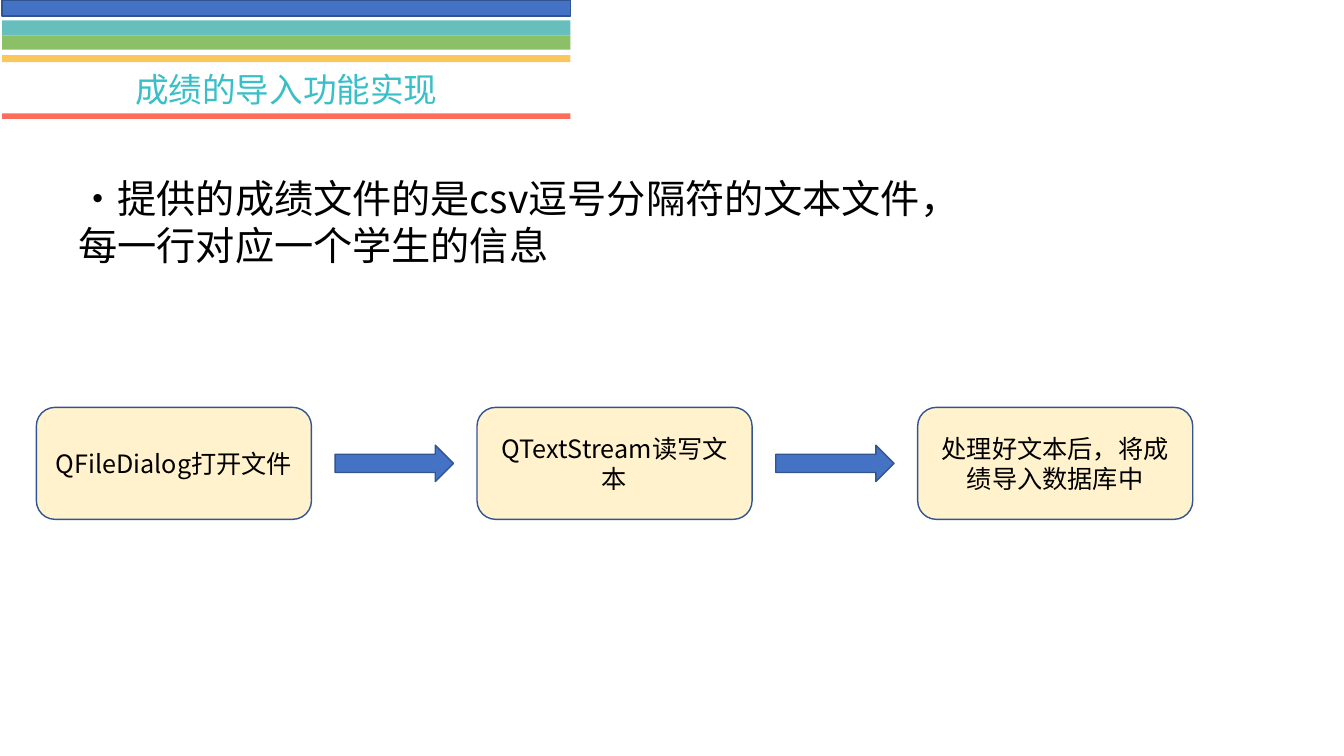
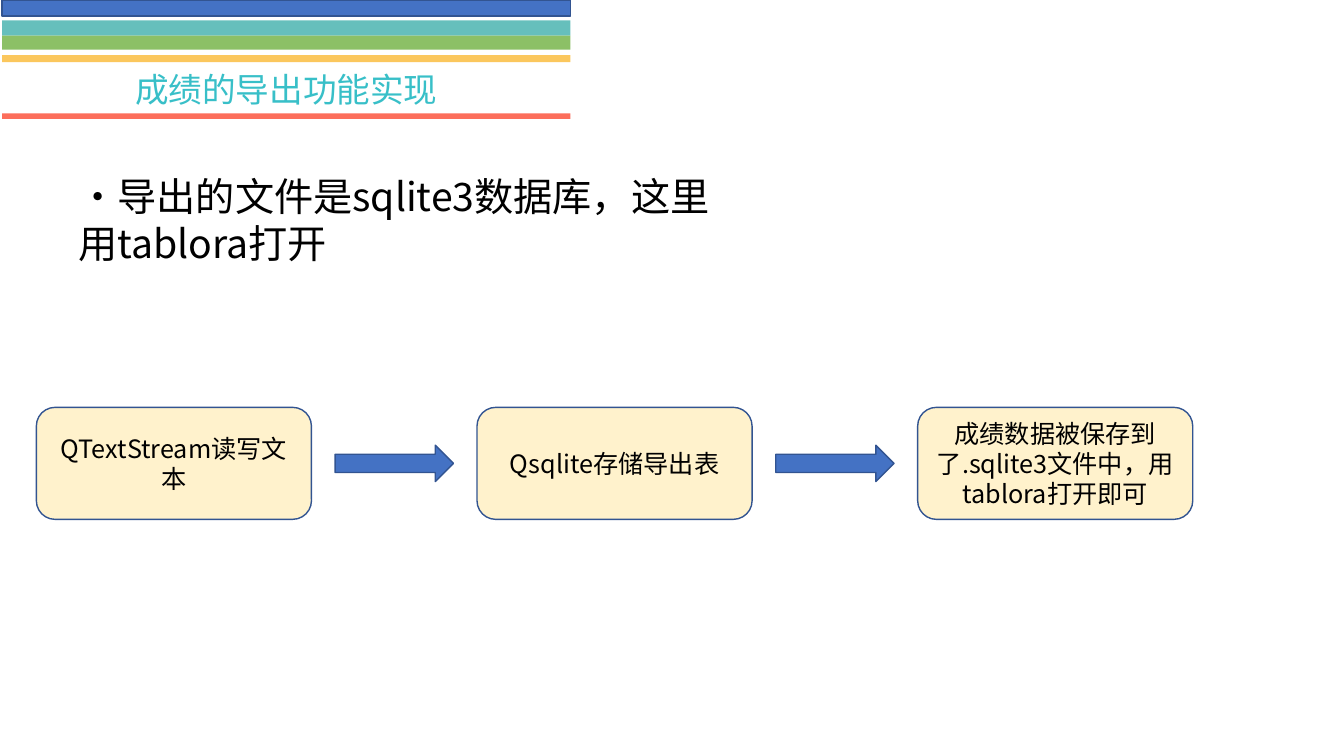
import pptx
import pptx.dml.color
import pptx.enum.lang
import pptx.enum.shapes
import pptx.enum.text
import pptx.oxml
import pptx.oxml.ns
import pptx.util

Pt = pptx.util.Pt
RGBColor = pptx.dml.color.RGBColor
SHAPE = pptx.enum.shapes.MSO_SHAPE
ALIGN = pptx.enum.text.PP_ALIGN
ANCHOR = pptx.enum.text.MSO_ANCHOR
FIT = pptx.enum.text.MSO_AUTO_SIZE

# Colours
BLACK = RGBColor(0x00, 0x00, 0x00)
WHITE = RGBColor(0xFF, 0xFF, 0xFF)
TITLE_TEAL = RGBColor(0x38, 0xBF, 0xC8)
BLUE = RGBColor(0x44, 0x72, 0xC4)
OUTLINE = RGBColor(0x32, 0x54, 0x91)
TEAL = RGBColor(0x66, 0xBF, 0xBC)
GREEN = RGBColor(0x8C, 0xC0, 0x66)
YELLOW = RGBColor(0xFB, 0xC7, 0x5D)
CORAL = RGBColor(0xFC, 0x6E, 0x5B)
CREAM = RGBColor(0xFF, 0xF2, 0xCC)

FONT = "Noto Sans CJK SC"

# Header column and its bands: preset, top, height, fill, outline
HEADER_LEFT, HEADER_WIDTH = 1.5, 406
BANDS = [
    (SHAPE.FLOWCHART_PROCESS, 0, 11.5, BLUE, OUTLINE),
    (SHAPE.RECTANGLE, 14.5, 11, TEAL, None),
    (SHAPE.RECTANGLE, 25.5, 10, GREEN, None),
    (SHAPE.RECTANGLE, 39.5, 5, YELLOW, None),
    (SHAPE.RECTANGLE, 81, 4, CORAL, None),
]

# Flow of steps, joined by arrows
STEP_LEFT, STEP_TOP, STEP_WIDTH, STEP_HEIGHT = 26, 291, 196.5, 80
STEP_PITCH = 314.75
ARROW_WIDTH, ARROW_HEIGHT = 84.5, 26


def write_text(shape, text, size=18, colour=BLACK, align=ALIGN.LEFT,
               anchor=ANCHOR.TOP, fit=FIT.NONE, line_spacing=None):
    """Put one formatted paragraph into a shape."""
    frame = shape.text_frame
    frame.word_wrap = True
    frame.auto_size = fit
    frame.vertical_anchor = anchor
    para = frame.paragraphs[0]
    para.alignment = align
    para.line_spacing = line_spacing
    span = para.add_run()
    span.text = text
    span.font.size = Pt(size)
    span.font.name = FONT
    span.font.color.rgb = colour
    span.font.language_id = pptx.enum.lang.MSO_LANGUAGE_ID.SIMPLIFIED_CHINESE
    # Chinese characters take the East Asian typeface
    east_asian = pptx.oxml.parse_xml(
        f'<a:ea {pptx.oxml.ns.nsdecls("a")} typeface="{FONT}"/>')
    span.font._element.find(pptx.oxml.ns.qn("a:latin")).addnext(east_asian)


class FlowDeck:
    """Holds the shared style and the current slide."""

    def __init__(self):
        self.deck = pptx.Presentation()
        self.deck.slide_width = Pt(960)
        self.deck.slide_height = Pt(540)
        self.layout = self.deck.slide_layouts.get_by_name("Title Only")
        self.slide = None

    def start_slide(self, title):
        self.slide = self.deck.slides.add_slide(self.layout)
        background = self.slide.background.fill
        background.solid()
        background.fore_color.rgb = WHITE
        self.title(title)
        for preset, top, height, fill, line in BANDS:
            self.shape(preset, HEADER_LEFT, top, HEADER_WIDTH, height, fill, line)

    def title(self, text):
        box = self.slide.shapes.title
        box.left, box.top = Pt(HEADER_LEFT), Pt(43)
        box.width, box.height = Pt(HEADER_WIDTH), Pt(45.5)
        write_text(box, text, size=24, colour=TITLE_TEAL, align=ALIGN.CENTER,
                   anchor=ANCHOR.MIDDLE, line_spacing=0.9)

    def shape(self, preset, left, top, width, height, fill, line=None):
        shape = self.slide.shapes.add_shape(
            preset, Pt(left), Pt(top), Pt(width), Pt(height))
        shape.shadow.inherit = False
        shape.fill.solid()
        shape.fill.fore_color.rgb = fill
        if line is None:
            shape.line.fill.background()
        else:
            shape.line.color.rgb = line
            shape.line.width = Pt(1)
        return shape

    def summary(self, text, top, width):
        box = self.slide.shapes.add_textbox(Pt(49), Pt(top), Pt(width), Pt(75))
        write_text(box, text, size=28, fit=FIT.SHAPE_TO_FIT_TEXT)

    def flow(self, steps):
        for index, text in enumerate(steps):
            left = STEP_LEFT + index * STEP_PITCH
            box = self.shape(SHAPE.ROUNDED_RECTANGLE, left, STEP_TOP,
                             STEP_WIDTH, STEP_HEIGHT, CREAM, OUTLINE)
            write_text(box, text, align=ALIGN.CENTER, anchor=ANCHOR.MIDDLE)
        # Each arrow is centred in the gap after a step
        gap = STEP_PITCH - STEP_WIDTH
        offset = STEP_WIDTH + (gap - ARROW_WIDTH) / 2
        arrow_top = STEP_TOP + (STEP_HEIGHT - ARROW_HEIGHT) / 2
        for index in range(len(steps) - 1):
            left = STEP_LEFT + index * STEP_PITCH + offset
            self.shape(SHAPE.RIGHT_ARROW, left, arrow_top,
                       ARROW_WIDTH, ARROW_HEIGHT, BLUE, OUTLINE)


def main():
    flow_deck = FlowDeck()

    # Importing the scores
    flow_deck.start_slide("成绩的导入功能实现")
    flow_deck.summary("·提供的成绩文件的是csv逗号分隔符的文本文件，每一行对应一个学生的信息",
                      top=121, width=639.5)
    flow_deck.flow(["QFileDialog打开文件", "QTextStream读写文本",
                    "处理好文本后，将成绩导入数据库中"])

    # Exporting the scores
    flow_deck.start_slide("成绩的导出功能实现")
    flow_deck.summary("·导出的文件是sqlite3数据库，这里用tablora打开",
                      top=119.5, width=480)
    flow_deck.flow(["QTextStream读写文本", "Qsqlite存储导出表",
                    "成绩数据被保存到了.sqlite3文件中，用tablora打开即可"])

    flow_deck.deck.save("out.pptx")


if __name__ == "__main__":
    main()
